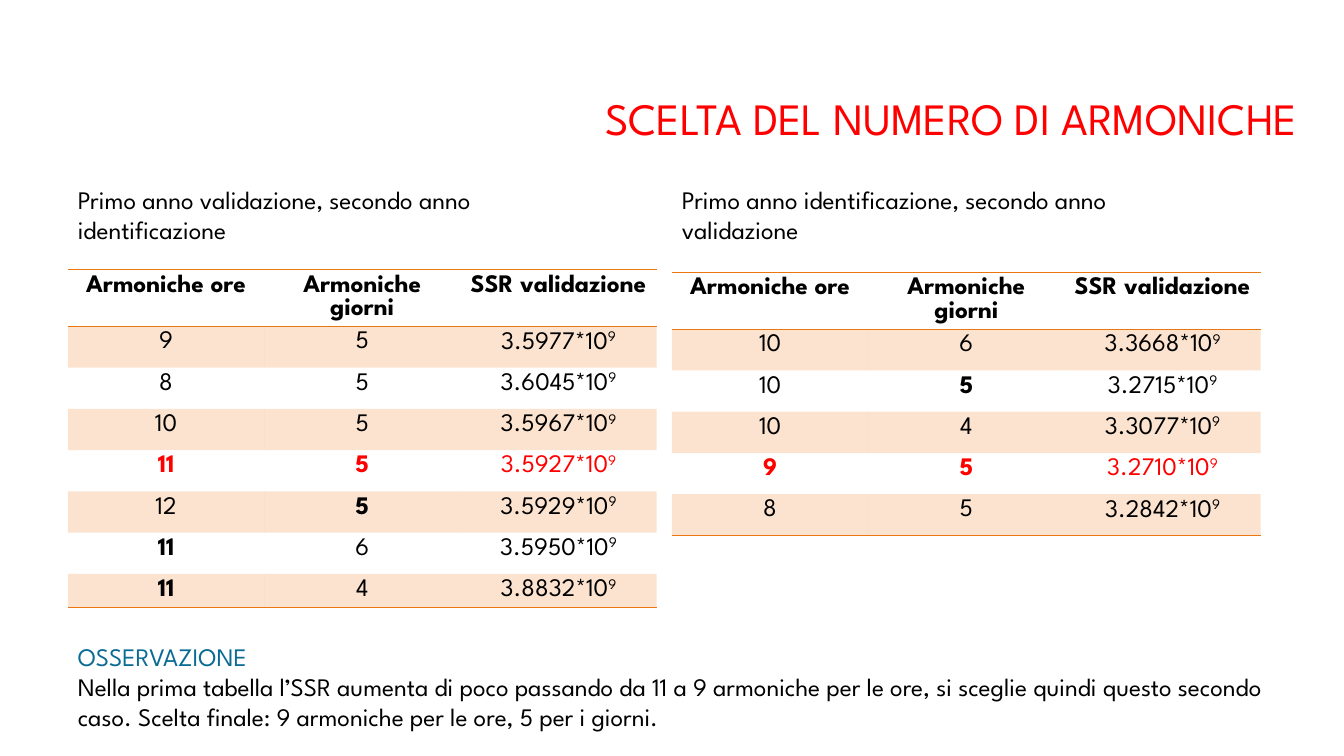
from dataclasses import dataclass

from lxml import etree
from pptx import Presentation
from pptx.dml.color import RGBColor
from pptx.enum.text import MSO_ANCHOR, MSO_AUTO_SIZE, PP_ALIGN
from pptx.oxml.ns import qn
from pptx.util import Pt


@dataclass(frozen=True)
class Theme:
    font: str = "League Spartan"
    title_size: int = 32
    text_size: int = 18
    black: str = "000000"
    red: str = "FF0000"
    blue: str = "0A6B94"
    orange: str = "EB7712"
    band_alpha: int = 20


THEME = Theme()
LEFT, RIGHT = 48.5, 480
COLUMN_WIDTH = 140.2
HEADER_HEIGHT, ROW_HEIGHT, LOW_ROW_HEIGHT = 40.7, 29.5, 23.8
NO_STYLE_NO_GRID = "{2D5ABB26-0587-4C30-8999-92F81FD0307C}"

HEADERS = ("Armoniche ore", "Armoniche giorni", "SSR validazione")
FIRST_ROWS = [
    ("9", "5", "3.5977"),
    ("8", "5", "3.6045"),
    ("10", "5", "3.5967"),
    ("11", "5", "3.5927"),
    ("12", "5", "3.5929"),
    ("11", "6", "3.5950"),
    ("11", "4", "3.8832"),
]
SECOND_ROWS = [
    ("10", "6", "3.3668"),
    ("10", "5", "3.2715"),
    ("10", "4", "3.3077"),
    ("9", "5", "3.2710"),
    ("8", "5", "3.2842"),
]
CHOSEN_ROW = 4
# Bold cells as (row, column), besides the header
FIRST_BOLD = {(4, 0), (4, 1), (5, 1), (6, 0), (7, 0)}
SECOND_BOLD = {(2, 1), (4, 0), (4, 1)}


def format_runs(p, color, size=THEME.text_size, bold=False):
    for r in p.runs:
        r.font.name = THEME.font
        r.font.size = Pt(size)
        r.font.bold = bold
        r.font.color.rgb = RGBColor.from_string(color)


def add_title(slide, text):
    sp = slide.shapes.title
    sp.left, sp.top, sp.width, sp.height = Pt(409), Pt(13), Pt(541.5), Pt(94.3)
    tf = sp.text_frame
    tf.text = text
    tf.auto_size = MSO_AUTO_SIZE.NONE
    tf.vertical_anchor = MSO_ANCHOR.BOTTOM
    p = tf.paragraphs[0]
    p.alignment = PP_ALIGN.CENTER
    p.line_spacing = 0.9
    format_runs(p, THEME.red, THEME.title_size)


def add_text(slide, left, top, width, height, lines):
    """Add a text box from (text, colour) pairs, one paragraph each."""
    sp = slide.shapes.add_textbox(Pt(left), Pt(top), Pt(width), Pt(height))
    tf = sp.text_frame
    tf.word_wrap = True
    tf.text = "\n".join(text for text, _ in lines)
    for p, (_, color) in zip(tf.paragraphs, lines):
        format_runs(p, color)


def add_border(cell, side):
    ln = etree.SubElement(cell._tc.get_or_add_tcPr(), qn(f"a:ln{side}"), w=str(Pt(1)))
    fill = etree.SubElement(ln, qn("a:solidFill"))
    etree.SubElement(fill, qn("a:srgbClr"), val=THEME.orange)


def fill_band(cell):
    cell.fill.solid()
    cell.fill.fore_color.rgb = RGBColor.from_string(THEME.orange)
    color = cell._tc.tcPr.find(qn("a:solidFill")).find(qn("a:srgbClr"))
    etree.SubElement(color, qn("a:alpha"), val=str(THEME.band_alpha * 1000))


def add_power(p):
    """Append *10 to the ninth power to a paragraph."""
    p.add_run().text = "*10"
    exponent = p.add_run()
    exponent.text = "9"
    exponent._r.get_or_add_rPr().set("baseline", "30000")


def add_results(slide, left, top, rows, bold_cells, last_height=ROW_HEIGHT):
    heights = [HEADER_HEIGHT] + [ROW_HEIGHT] * (len(rows) - 1) + [last_height]
    frame = slide.shapes.add_table(
        len(heights), len(HEADERS), Pt(left), Pt(top),
        Pt(COLUMN_WIDTH * len(HEADERS)), Pt(sum(heights)))
    table = frame.table
    table.first_row = table.horz_banding = False
    table._tbl.tblPr.find(qn("a:tableStyleId")).text = NO_STYLE_NO_GRID
    for column in table.columns:
        column.width = Pt(COLUMN_WIDTH)
    for i, (height, values) in enumerate(zip(heights, [HEADERS, *rows])):
        table.rows[i].height = Pt(height)
        color = THEME.red if i == CHOSEN_ROW else THEME.black
        for j, value in enumerate(values):
            cell = table.cell(i, j)
            p = cell.text_frame.paragraphs[0]
            p.text = value
            if i and j == 2:
                add_power(p)
            p.alignment = PP_ALIGN.CENTER
            format_runs(p, color, bold=i == 0 or (i, j) in bold_cells)
            if i == 0:
                add_border(cell, "T")
            if i in (0, len(rows)):
                add_border(cell, "B")
            if i % 2:
                fill_band(cell)
            else:
                cell.fill.background()


def main():
    prs = Presentation()
    prs.slide_width, prs.slide_height = Pt(960), Pt(540)
    slide = prs.slides.add_slide(prs.slide_layouts[5])

    add_title(slide, "SCELTA DEL NUMERO DI ARMONICHE")
    add_results(slide, LEFT, 192.4, FIRST_ROWS, FIRST_BOLD, LOW_ROW_HEIGHT)
    add_results(slide, RIGHT, 194.4, SECOND_ROWS, SECOND_BOLD)
    captions = (
        (LEFT, "Primo anno validazione, secondo anno identificazione"),
        (RIGHT, "Primo anno identificazione, secondo anno validazione"),
    )
    for left, caption in captions:
        add_text(slide, left, 128.2, 392.4, 50.9, [(caption, THEME.black)])
    add_text(slide, LEFT, 454.3, 882, 72.7, [
        ("OSSERVAZIONE", THEME.blue),
        ("Nella prima tabella l’SSR aumenta di poco passando da 11 a 9 armoniche "
         "per le ore, si sceglie quindi questo secondo caso. Scelta finale: "
         "9 armoniche per le ore, 5 per i giorni.", THEME.black),
    ])
    prs.save("out.pptx")


if __name__ == "__main__":
    main()
